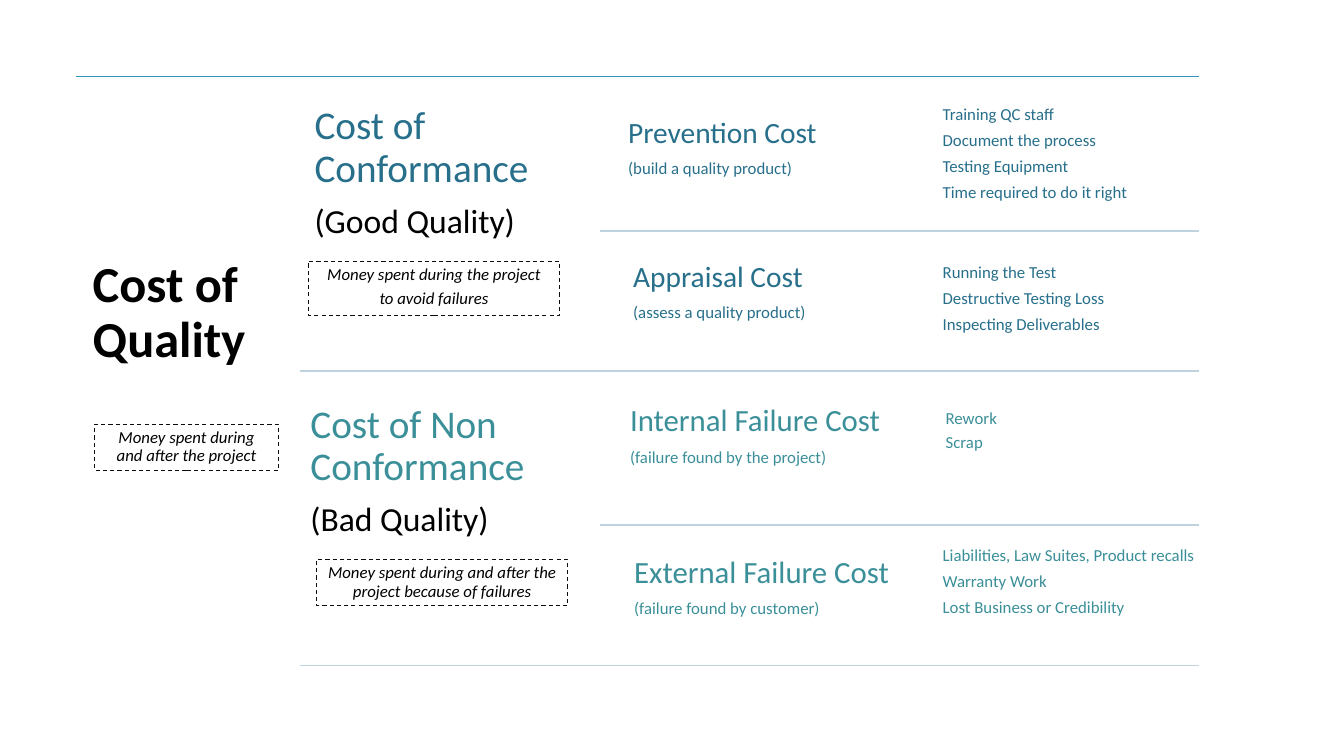
"""Build the cost of quality breakdown slide."""
import pptx
import pptx.dml.color
import pptx.enum.dml
import pptx.enum.shapes
import pptx.enum.text
import pptx.util
from pptx.util import Inches

BLUE, TEAL, BLACK = "276F8B", "3A8F98", "000000"


def rgb(hex_code):
    return pptx.dml.color.RGBColor.from_string(hex_code)


def write(shape, inset, lines, line_spacing=0.9, bold=False, italic=False, align=None):
    frame = shape.text_frame
    frame.word_wrap = True
    frame.vertical_anchor = pptx.enum.text.MSO_ANCHOR.TOP
    frame.margin_left = frame.margin_right = Inches(inset)
    frame.margin_top = frame.margin_bottom = Inches(min(inset, 0.05) if italic else inset)
    for index, (text, size, color) in enumerate(lines):
        paragraph = frame.add_paragraph() if index else frame.paragraphs[0]
        paragraph.text = text
        paragraph.alignment = align
        paragraph.line_spacing = line_spacing
        paragraph.space_after = pptx.util.Pt(round(size * 0.35, 1))
        paragraph.font.name = "Calibri"
        paragraph.font.size = pptx.util.Pt(size)
        paragraph.font.bold = bold
        paragraph.font.italic = italic
        paragraph.font.color.rgb = rgb(color)


presentation = pptx.Presentation()
presentation.slide_width = Inches(13.33)
presentation.slide_height = Inches(7.5)
slide = presentation.slides.add_slide(presentation.slide_layouts[6])
shapes = slide.shapes

dividers = [
    (0.75, 0.76, "3494BA"),
    (5.95, 2.29, "BFD2E0"),
    (2.98, 3.68, "BFD2E0"),
    (5.95, 5.21, "BFD2E0"),
    (2.98, 6.6, "BFD2E0"),
]
for left, top, color in dividers:
    divider = shapes.add_connector(
        pptx.enum.shapes.MSO_CONNECTOR.STRAIGHT,
        Inches(left), Inches(top), Inches(11.89), Inches(top))
    divider.line.color.rgb = rgb(color)
    divider.line.width = pptx.util.Pt(1)
    properties = divider._element.spPr
    properties.append(pptx.oxml.parse_xml(
        '<a:effectLst xmlns:a="http://schemas.openxmlformats.org/drawingml/2006/main"/>'))

title = shapes.add_textbox(Inches(0.75), Inches(2.4), Inches(2.23), Inches(1.5))
write(title, 0.17, [("Cost of Quality", 36, BLACK)], bold=True)

categories = [
    (2.99, 0.92, "Cost of Conformance", "(Good Quality)", BLUE),
    (2.95, 3.88, "Cost of Non Conformance", "(Bad Quality)", TEAL),
]
for left, top, name, quality, color in categories:
    category = shapes.add_textbox(Inches(left), Inches(top), Inches(2.8), Inches(1.85))
    write(category, 0.13, [(name, 28, color), (quality, 24, BLACK)])

costs = [
    (6.14, 1.08, "Prevention Cost", 21, "(build a quality product)", BLUE),
    (6.19, 2.51, "Appraisal Cost", 21, "(assess a quality product)", BLUE),
    (6.16, 3.93, "Internal Failure Cost", 22, "(failure found by the project)", TEAL),
    (6.2, 5.43, "External Failure Cost", 22, "(failure found by customer)", TEAL),
]
for left, top, name, size, meaning, color in costs:
    cost = shapes.add_textbox(Inches(left), Inches(top), Inches(2.8), Inches(0.99))
    write(cost, 0.09, [(name, size, color), (meaning, 12, color)])

examples = [
    (9.3, 0.98, 1.19, 1.0, BLUE, ["Training QC staff", "Document the process",
                                  "Testing Equipment", "Time required to do it right"]),
    (9.3, 2.55, 0.97, 1.0, BLUE, ["Running the Test", "Destructive Testing Loss",
                                  "Inspecting Deliverables"]),
    (9.33, 4.02, 0.57, 0.9, TEAL, ["Rework", "Scrap"]),
    (9.3, 5.35, 0.81, 1.0, TEAL, ["Liabilities, Law Suites, Product recalls",
                                  "Warranty Work", "Lost Business or Credibility"]),
]
for left, top, height, spacing, color, items in examples:
    example = shapes.add_textbox(Inches(left), Inches(top), Inches(2.8), Inches(height))
    write(example, 0.05, [(item, 12, color) for item in items], line_spacing=spacing)

explanations = [
    (0.94, 4.21, 1.82, 0.46, ["Money spent during and after the project"]),
    (3.06, 2.59, 2.49, 0.54, ["Money spent during the project", "to avoid failures"]),
    (3.14, 5.55, 2.49, 0.46, ["Money spent during and after the project because of failures"]),
]
for left, top, width, height, sentences in explanations:
    explanation = shapes.add_shape(
        pptx.enum.shapes.MSO_SHAPE.RECTANGLE,
        Inches(left), Inches(top), Inches(width), Inches(height))
    explanation.shadow.inherit = False
    explanation.fill.background()
    explanation.line.color.rgb = rgb("0D0D0D")
    explanation.line.width = pptx.util.Pt(0.75)
    explanation.line.dash_style = pptx.enum.dml.MSO_LINE.DASH
    write(explanation, 0.1, [(sentence, 12, BLACK) for sentence in sentences],
          italic=True, align=pptx.enum.text.PP_ALIGN.CENTER)

presentation.save("out.pptx")
